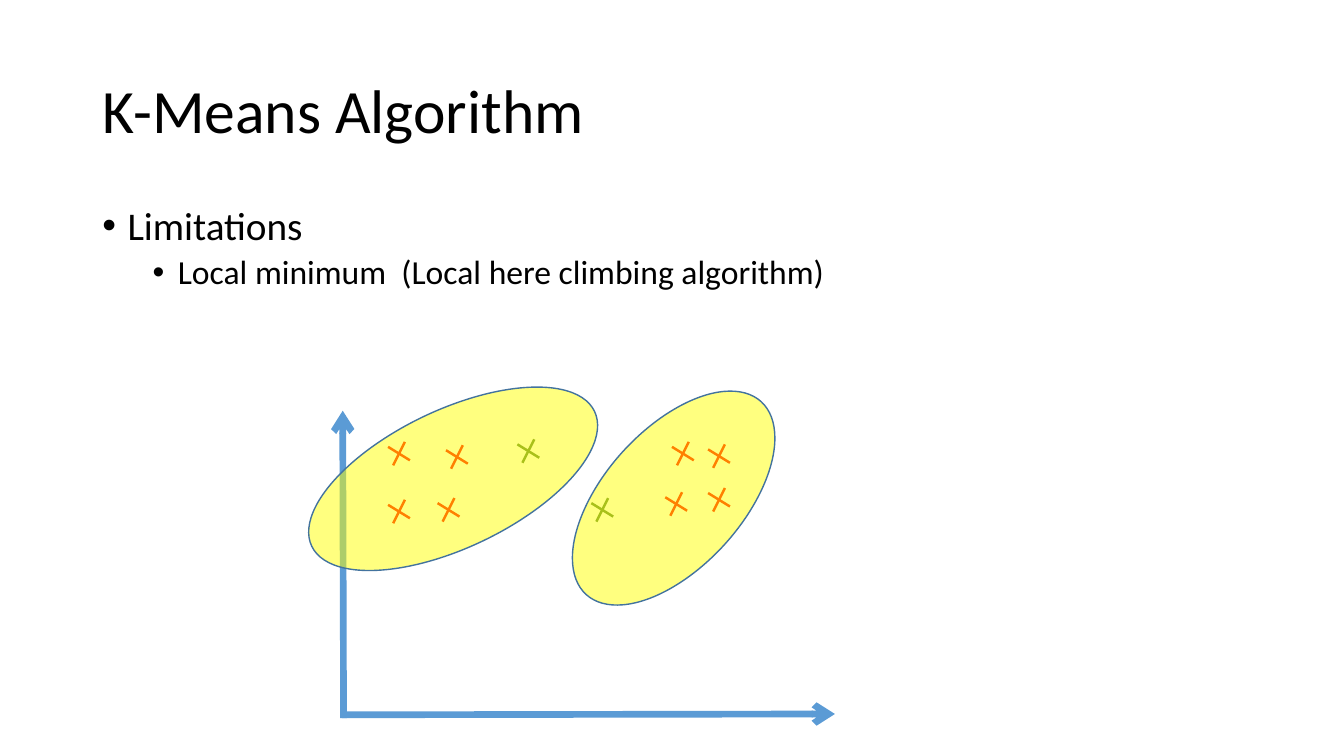
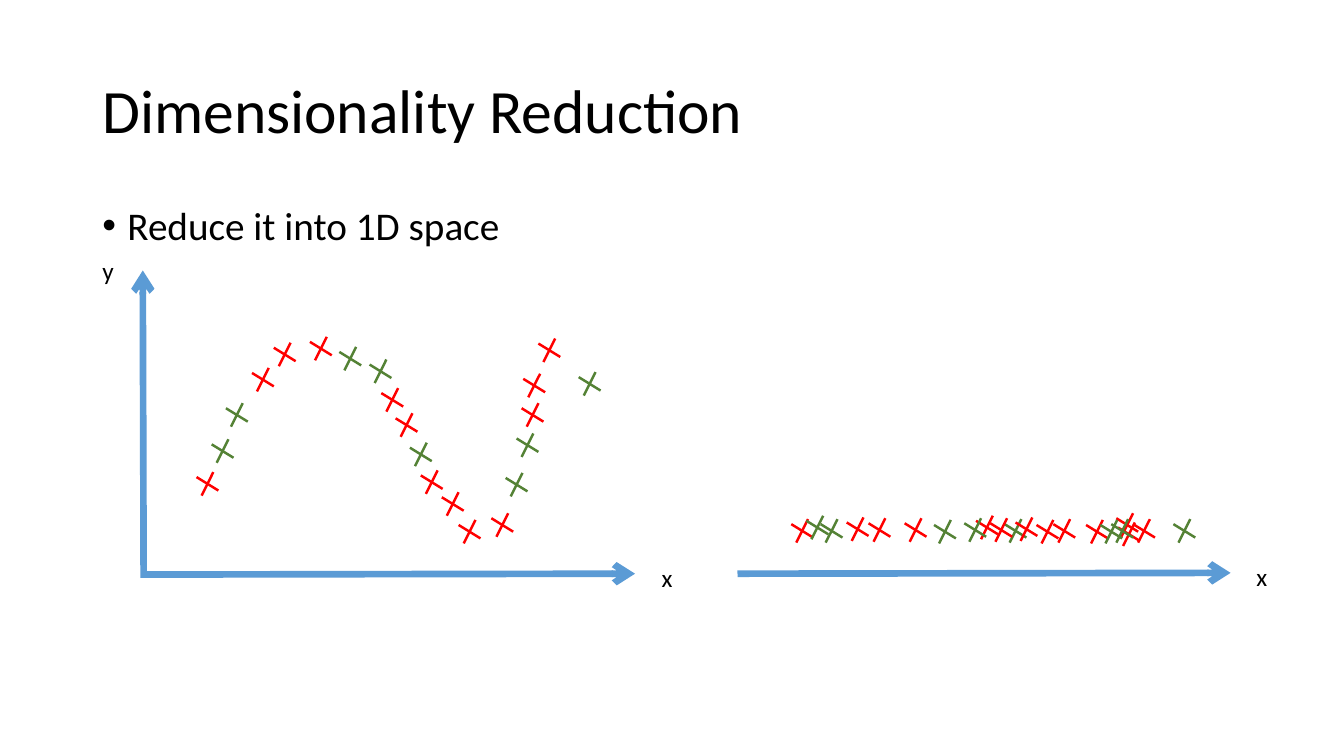
"""Builds two slides on clustering and dimensionality reduction, on a 160 by 90 grid."""
from typing import NamedTuple, Optional

from lxml.etree import SubElement
from pptx import Presentation
from pptx.dml.color import RGBColor
from pptx.enum.shapes import MSO_CONNECTOR as Conn, MSO_SHAPE as Shp
from pptx.enum.text import MSO_ANCHOR as Anchor
from pptx.oxml.ns import qn
from pptx.util import Emu, Inches, Pt

COLS, ROWS = 160, 90
CELL = Inches(13.333) // COLS + 2
FONT = "Calibri"
BLACK, WHITE = "000000", "FFFFFF"
RED, GREEN, BLUE = "FF0000", "548235", "5B9BD5"
YELLOW, NAVY = "FFFF00", "43739E"
AXIS_WIDTH, MARK_WIDTH = 4.75, 1.75
STROKES = ((0.7, -1.4), (-1.3, -0.8))
PROJECTION_SHIFT = 70.8


class Box(NamedTuple):
    x: float
    y: float
    w: float
    h: float


class Mark(NamedTuple):
    x: float
    y: float
    color: str


class Sample(NamedTuple):
    x: float
    y: float
    line_y: float
    color: str


class Cluster(NamedTuple):
    box: Box
    angle: float


class Bullet(NamedTuple):
    text: str
    level: int = 0


class Level(NamedTuple):
    size: float
    before: float
    indent: float


TITLE = Box(11, 4.8, 138, 17.4)
BODY = Box(11, 24, 138, 57)
LEVELS = (Level(28, 10, 3), Level(24, 5, 9))

CLUSTER_MARKS = (
    Mark(47.5, 54, RED), Mark(53.4, 60.7, RED), Mark(54.4, 54.4, RED),
    Mark(47.5, 60.9, RED), Mark(85.6, 59.5, RED), Mark(80.5, 60, RED),
    Mark(85.6, 54.3, RED), Mark(81.3, 54, RED),
    Mark(71.7, 60.7, GREEN), Mark(62.9, 53.7, GREEN),
)
CLUSTERS = (
    Cluster(Box(35.3, 48.8, 37.3, 16.4), 334.5),
    Cluster(Box(64.7, 51.1, 31, 16.4), 312.2),
)
SAMPLES = (
    Sample(28.2, 49.4, 63.2, GREEN), Sample(31.3, 45.2, 63, RED),
    Sample(33.9, 42.2, 63.1, RED), Sample(24.7, 57.6, 63.2, RED),
    Sample(38.2, 41.5, 63.1, RED), Sample(26.5, 53.7, 62.8, GREEN),
    Sample(63.4, 49.4, 62.5, RED), Sample(63.6, 45.9, 63.6, RED),
    Sample(59.8, 62.5, 63.3, RED), Sample(61.5, 57.7, 63.3, GREEN),
    Sample(62.8, 53, 63.2, GREEN), Sample(70.2, 45.7, 63.2, GREEN),
    Sample(65.4, 41.7, 63.2, RED), Sample(41.7, 42.7, 63.3, GREEN),
    Sample(46.7, 47.6, 62.8, RED), Sample(50.1, 54.1, 63.2, GREEN),
    Sample(45.3, 44.2, 63.1, GREEN), Sample(48.4, 50.6, 63.1, RED),
    Sample(51.4, 57.4, 63, RED), Sample(53.9, 60, 63.3, RED),
    Sample(55.9, 63.3, 63.2, RED),
)
AXIS_LABELS = (
    ("x", Box(77.6, 66.4, 3.7, 4.8)),
    ("y", Box(11, 29.8, 3.8, 4.8)),
    ("x", Box(148.4, 66.2, 3.7, 4.8)),
)


def cells(n: float) -> Emu:
    return Emu(round(n * CELL))


def rgb(color: str) -> RGBColor:
    return RGBColor.from_string(color)


def add_text(s, box: Box, *lines: Bullet, size: float = 18, color: str = BLACK,
             spacing: Optional[float] = None, anchor=Anchor.TOP,
             wrap: bool = True, bullets: bool = False) -> None:
    tf = s.shapes.add_textbox(*map(cells, box)).text_frame
    tf.word_wrap = wrap
    tf.vertical_anchor = anchor
    for i, line in enumerate(lines):
        p = tf.add_paragraph() if i else tf.paragraphs[0]
        p.line_spacing = spacing
        r = p.add_run()
        r.text = line.text
        r.font.name = FONT
        r.font.size = Pt(size)
        r.font.color.rgb = rgb(color)
        if bullets:
            level = LEVELS[line.level]
            p.level = line.level
            p.space_before = Pt(level.before)
            r.font.size = Pt(level.size)
            pr = p._p.get_or_add_pPr()
            pr.set("marL", str(cells(level.indent)))
            pr.set("indent", str(cells(-3)))
            SubElement(pr, qn("a:buFont"), typeface="Arial")
            SubElement(pr, qn("a:buChar"), char="•")


def add_line(shapes, x1: float, y1: float, x2: float, y2: float, color: str,
             width: float, arrow: bool = False) -> None:
    c = shapes.add_connector(Conn.STRAIGHT, *map(cells, (x1, y1, x2, y2)))
    c.line.color.rgb = rgb(color)
    c.line.width = Pt(width)
    if arrow:
        SubElement(c.line._get_or_add_ln(), qn("a:tailEnd"), type="arrow")
    SubElement(c._element.spPr, qn("a:effectLst"))


def add_axes(s, x: float, y: float, vertical: bool = True) -> None:
    add_line(s.shapes, x, y, x + 58.7, y - 0.1, BLUE, AXIS_WIDTH, arrow=True)
    if vertical:
        add_line(s.shapes, x + 0.2, y + 0.4, x + 0.1, y - 36.2, BLUE, AXIS_WIDTH,
                 arrow=True)


def add_mark(s, mark: Mark) -> None:
    shapes = s.shapes.add_group_shape().shapes
    for dx, dy in STROKES:
        add_line(shapes, mark.x + dx, mark.y + dy, mark.x - dx, mark.y - dy,
                 mark.color, MARK_WIDTH)


def add_cluster(s, cluster: Cluster) -> None:
    sp = s.shapes.add_shape(Shp.OVAL, *map(cells, cluster.box))
    sp.rotation = cluster.angle
    sp.shadow.inherit = False
    sp.fill.solid()
    sp.fill.fore_color.rgb = rgb(YELLOW)
    fill = sp._element.spPr.find(qn("a:solidFill"))
    SubElement(fill[0], qn("a:alpha"), val="50000")
    sp.line.color.rgb = rgb(NAVY)
    sp.line.width = Pt(1)


def add_slide(prs, title: str, *body: Bullet, body_box: Box = BODY):
    s = prs.slides.add_slide(prs.slide_layouts[6])
    s.background.fill.solid()
    s.background.fill.fore_color.rgb = rgb(WHITE)
    add_text(s, TITLE, Bullet(title), size=44, spacing=0.9, anchor=Anchor.MIDDLE)
    add_text(s, body_box, *body, spacing=0.9, bullets=True)
    return s


def add_kmeans(prs) -> None:
    s = add_slide(prs, "K-Means Algorithm", Bullet("Limitations"),
                  Bullet("Local minimum  (Local here climbing algorithm)", 1),
                  body_box=BODY._replace(w=146.5))
    add_axes(s, 40.7, 85.1)
    for mark in CLUSTER_MARKS:
        add_mark(s, mark)
    for cluster in CLUSTERS:
        add_cluster(s, cluster)


def add_reduction(prs) -> None:
    s = add_slide(prs, "Dimensionality Reduction", Bullet("Reduce it into 1D space"))
    add_axes(s, 16.9, 68.4)
    for p in SAMPLES:
        add_mark(s, Mark(p.x, p.y, p.color))
    add_axes(s, 87.8, 68.3, vertical=False)
    for p in SAMPLES:
        add_mark(s, Mark(p.x + PROJECTION_SHIFT, p.line_y, p.color))
    for text, box in AXIS_LABELS:
        add_text(s, box, Bullet(text), wrap=False)


def main() -> None:
    prs = Presentation()
    prs.slide_width, prs.slide_height = cells(COLS), cells(ROWS)
    add_kmeans(prs)
    add_reduction(prs)
    prs.save("out.pptx")


main()
